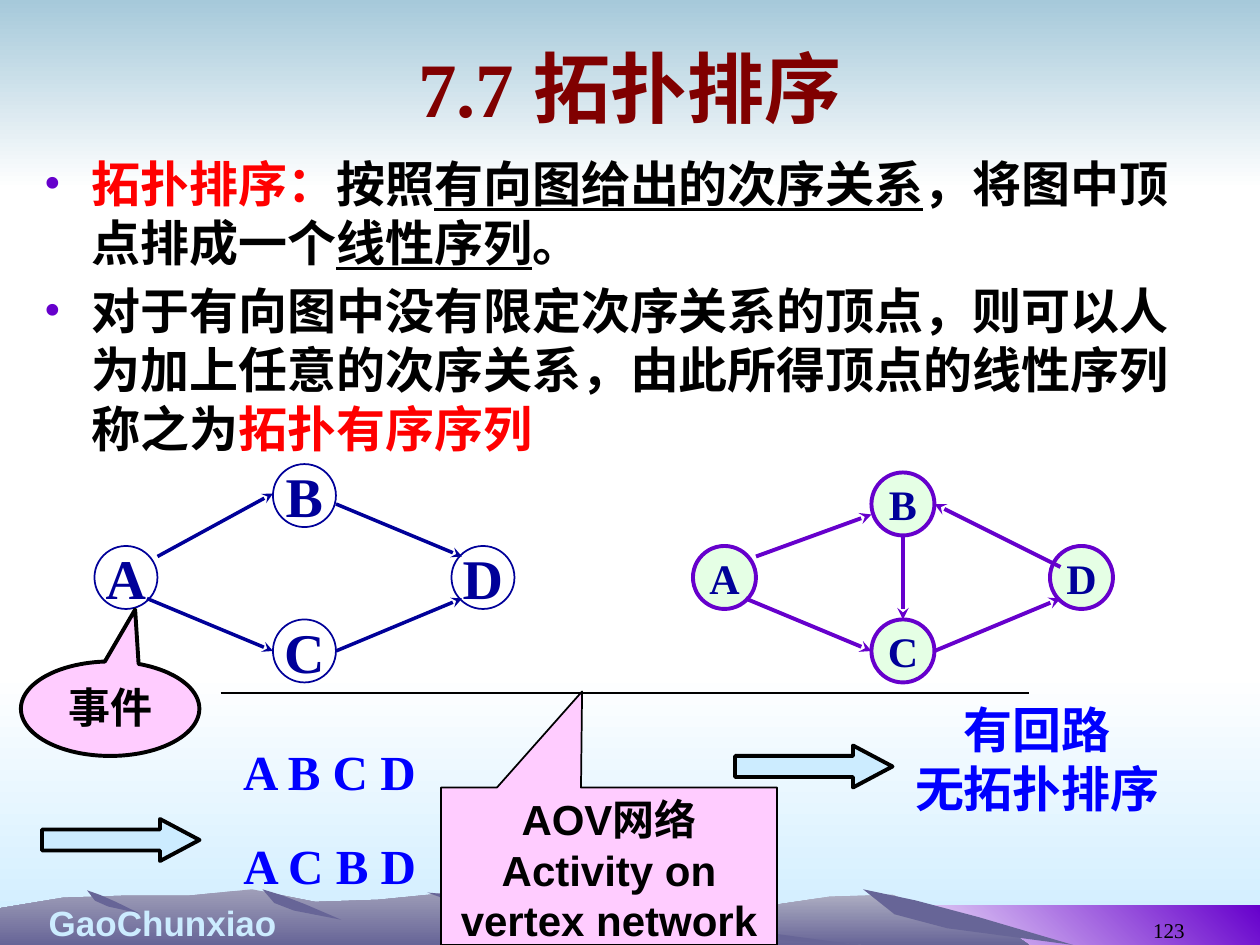
from lxml.etree import SubElement
from pptx import Presentation
from pptx.dml.color import RGBColor
from pptx.enum.shapes import MSO_CONNECTOR, MSO_SHAPE
from pptx.enum.text import MSO_ANCHOR, PP_ALIGN
from pptx.oxml.ns import qn
from pptx.util import Inches, Pt

COLORS = {
    "white": "FFFFFF", "black": "000000", "sky": "A6C9DA", "ice": "CCECFF",
    "purple": "6600CC", "slate": "676597", "haze": "AEAEC2", "mist": "9F9EB8",
    "maroon": "800000", "red": "FF0000", "navy": "000099", "blue": "0000FF",
    "mint": "CCFFCC", "pink": "FFCCFF",
}
RGB = {name: RGBColor.from_string(value) for name, value in COLORS.items()}
SERIF, SANS = "Times New Roman", "Arial"

deck = Presentation()
deck.slide_width, deck.slide_height = Inches(10), Inches(7.5)
page = deck.slides.add_slide(deck.slide_layouts[5])
shapes = page.shapes
CELL = deck.slide_width / 120  # the grid has 120 columns and 90 rows


def paint(shape, fill=None, line=None, width=1, angle=270):
    """Fill with a colour, or with a gradient when fill is a pair; outline if line is given."""
    shape.shadow.inherit = False
    if fill is None:
        shape.fill.background()
    elif isinstance(fill, tuple):
        shape.fill.gradient()
        shape.fill.gradient_angle = angle
        for stop, color in zip(shape.fill.gradient_stops, fill):
            stop.color.rgb = RGB[color]
    else:
        shape.fill.solid()
        shape.fill.fore_color.rgb = RGB[fill]
    if line:
        shape.line.color.rgb, shape.line.width = RGB[line], Pt(width)
    else:
        shape.line.fill.background()


def write(box, paragraphs, size, color, font=SERIF, bold=True, wrap=True,
          align=PP_ALIGN.CENTER, anchor=MSO_ANCHOR.TOP):
    """Each paragraph is a list of (text, format values) spans."""
    frame = box.text_frame
    frame.word_wrap, frame.vertical_anchor = wrap, anchor
    for number, spans in enumerate(paragraphs):
        para = frame.add_paragraph() if number else frame.paragraphs[0]
        para.alignment = align
        for text, extra in spans:
            span = para.add_run()
            span.text = text
            values = {"size": Pt(size), "name": font, "bold": bold, **extra}
            span.font.color.rgb = RGB[values.pop("color", color)]
            for name, value in values.items():
                setattr(span.font, name, value)


# Sky, ground and footer bands
for *area, fill, angle in [
    (0, 64, 120, 26, ("white", "ice"), 270),
    (0, 0, 120, 18, ("sky", "white"), 270),
    (82, 86.25, 38, 3.75, ("white", "purple"), 45),
]:
    band = shapes.add_shape(MSO_SHAPE.RECTANGLE, *[round(n * CELL) for n in area])
    paint(band, fill, angle=angle)

# Ridges have one height every six columns; shaded faces follow from their peaks
outlines = []
for first, last, heights, fill in [
    (31, 98, (0, 1.4, 2.9, 3.8, 4.9, 4.6, 3.2, 3.7, 4.6, 4.8, 2.3, 0.7), ("haze", "slate")),
    (0, 82, (3.5, 4.5, 4.7, 4.7, 5.3, 4.1, 4.3, 4.9, 3.2, 2.1), ("mist", "slate")),
]:
    ridge = [(first + 6 * step, 90 - height) for step, height in enumerate(heights)]
    outlines.append((fill, [(first, 90), *ridge, (last, 90)]))
for column, row, width, height in [(82.2, 84.7, 20, 5.3), (25, 84.7, 7.5, 2.9),
                                   (40.7, 85, 41, 5), (8.3, 84.8, 5, 2.2)]:
    face = [(0, 0), (0.15, 0.45), (0.4, 0.7), (1, 1), (0.55, 0.5), (0.25, 0.2)]
    outlines.append(("slate", [(column + width * x, row + height * y) for x, y in face]))
for fill, outline in outlines:
    points = [(round(x * CELL), round(y * CELL)) for x, y in outline]
    builder = shapes.build_freeform(*points[0])
    builder.add_line_segments(points[1:], close=True)
    paint(builder.convert_to_shape(), fill)

# Title stands in front of the scenery
title = shapes.title
shapes._spTree.append(title._element)
title.left, title.top, title.width, title.height = [
    round(n * CELL) for n in (6, 1.6, 108, 13.4)]
write(title, [[("7.7 拓扑排序", {})]], 44, "maroon", anchor=MSO_ANCHOR.MIDDLE)

# Text boxes
underlined, red = {"underline": True}, {"color": "red"}
definition = [
    [("拓扑排序：", red), ("按照", {}), ("有向图给出的次序关系", underlined),
     ("，将图中顶点排成一个", {}), ("线性序列", underlined), ("。", {})],
    [("对于有向图中没有限定次序关系的顶点，则可以人为加上任意的次序关系，"
      "由此所得顶点的线性序列称之为", {}), ("拓扑有序序列", red)],
]
plain_blue = {"size": 28, "color": "blue", "wrap": False}
boxes = []
for area, paragraphs, style in [
    ((3, 14, 113.4, 68), definition,
     {"size": 28, "color": "black", "align": PP_ALIGN.LEFT}),
    ((0, 85.3, 31, 5.3), [[("GaoChunxiao", {})]],
     {"size": 20, "color": "ice", "font": SANS}),
    ((86, 84.4, 28, 6), [[("123", {})]],
     {"size": 12, "color": "black", "bold": False, "align": PP_ALIGN.RIGHT,
      "anchor": MSO_ANCHOR.BOTTOM}),
    ((21.8, 70, 20.3, 6.8), [[("A B C D ", {})]], plain_blue),
    ((21.8, 79, 19.2, 6.8), [[("A C B D", {})]], plain_blue),
    ((85.9, 66, 25.8, 12.4), [[("有回路", {})], [("无拓扑排序", {})]], plain_blue),
]:
    box = shapes.add_textbox(*[round(n * CELL) for n in area])
    write(box, paragraphs, **style)
    boxes.append(box)

for number, para in enumerate(boxes[0].text_frame.paragraphs):
    props = para._p.get_or_add_pPr()
    props.set("marL", str(Inches(0.38)))
    props.set("indent", str(-Inches(0.38)))
    bullet_color = SubElement(props, qn("a:buClr"))
    SubElement(bullet_color, qn("a:srgbClr"), val=COLORS["purple"])
    SubElement(props, qn("a:buFont"), typeface=SERIF)
    SubElement(props, qn("a:buChar"), char="•")
    if number:
        para.space_before = Pt(5.6)

# The two graphs share one layout, 57 columns apart
lines = [((21, 66), (98, 66), "black", 1, False)]
for shift, row_b, size, fill, ink, outline, width, edges in [
    (0, 44.2, 32, None, "navy", 1, 2,
     [((15, 53), (26, 47)), ((32, 48), (44, 53))]),
    (57, 45, 24, "mint", "purple", 2.25, 2.25,
     [((15, 53), (26, 49)), ((44, 54), (32, 48)), ((29, 51), (29, 59))]),
]:
    for label, column, row in [("A", 9, 52), ("B", 26, row_b), ("C", 26, 59), ("D", 43, 52)]:
        area = (column + shift, row, 6, 6)
        node = shapes.add_shape(MSO_SHAPE.OVAL, *[round(n * CELL) for n in area])
        paint(node, fill, ink, outline)
        for tint in node._element.spPr.findall(qn("a:solidFill") + "/" + qn("a:srgbClr")):
            SubElement(tint, qn("a:alpha"), val="50000")
        write(node, [[(label, {})]], size, "navy", wrap=False, anchor=MSO_ANCHOR.MIDDLE)
    for start, end in edges + [((14, 57), (26, 62)), ((32, 62), (44, 57))]:
        lines.append(((start[0] + shift, start[1]), (end[0] + shift, end[1]), ink, width, True))

for start, end, color, width, arrow in lines:
    line = shapes.add_connector(
        MSO_CONNECTOR.STRAIGHT, *[round(n * CELL) for n in start + end])
    line.line.color.rgb, line.line.width = RGB[color], Pt(width)
    if arrow:
        SubElement(line.line._get_or_add_ln(), qn("a:tailEnd"), type="stealth")
    SubElement(line._element.spPr, qn("a:effectLst"))

# Block arrows and callouts
for kind, area, adjust, fill, width, texts in [
    (MSO_SHAPE.RIGHT_ARROW, (4, 78, 15, 4), (0.5, 0.94), "ice", 2.25, []),
    (MSO_SHAPE.RIGHT_ARROW, (70, 71, 15, 4), (0.5, 0.94), "ice", 2.25, []),
    (MSO_SHAPE.RECTANGULAR_CALLOUT, (42, 75, 32, 15), (-0.08, -1.11), "pink", 1,
     ["AOV网络", "Activity on vertex network"]),
    (MSO_SHAPE.OVAL_CALLOUT, (2, 63, 17, 9), (0.14, -1.05), "pink", 2.25, ["事件"]),
]:
    shape = shapes.add_shape(kind, *[round(n * CELL) for n in area])
    for index, value in enumerate(adjust):
        shape.adjustments[index] = value
    paint(shape, fill, "black", width)
    write(shape, [[(text, {})] for text in texts], 24, "black", SANS)

deck.save("out.pptx")
